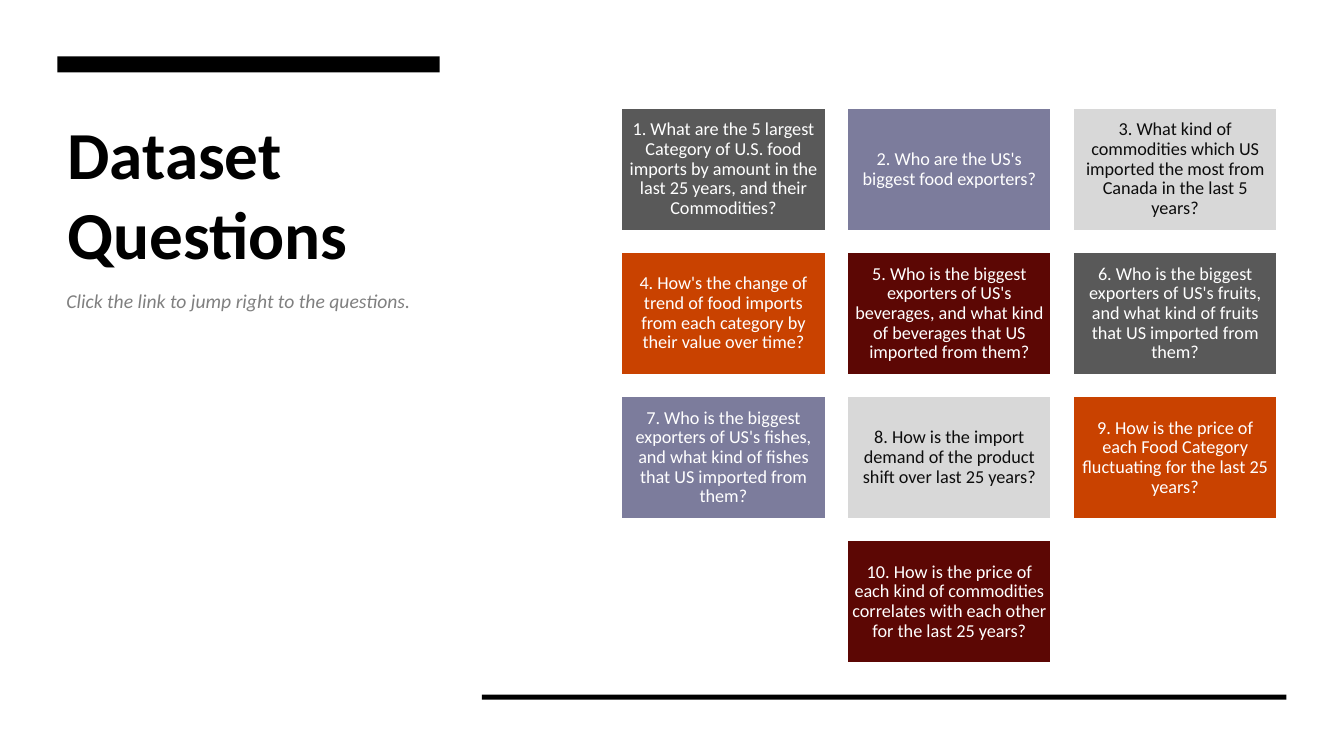
from pptx import Presentation
from pptx.dml.color import RGBColor
from pptx.enum.shapes import MSO_SHAPE as Shape
from pptx.enum.text import MSO_ANCHOR as Anchor, PP_ALIGN as Align
from pptx.util import Inches, Pt

FONT = "Calibri"
BLACK, WHITE, INK, GREY = "000000", "FFFFFF", "0D0D0D", "808080"
LIGHT = "D8D8D8"
FILLS = ["595959", "7C7C9C", LIGHT, "C94200", "5C0704"]

ASKS = [
    "What are the 5 largest Category of U.S. food imports by amount in the last 25 years, and their Commodities?",
    "Who are the US's biggest food exporters?",
    "What kind of commodities which US imported the most from Canada in the last 5 years?",
    "How's the change of trend of food imports from each category by their value over time?",
    "Who is the biggest exporters of US's beverages, and what kind of beverages that US imported from them?",
    "Who is the biggest exporters of US's fruits, and what kind of fruits that US imported from them?",
    "Who is the biggest exporters of US's fishes, and what kind of fishes that US imported from them?",
    "How is the import demand of the product shift over last 25 years?",
    "How is the price of each Food Category fluctuating for the last 25 years?",
    "How is the price of each kind of commodities correlates with each other for the last 25 years?",
]


def color(code):
    return RGBColor.from_string(code)


def place(box):
    return [Inches(side) for side in box]


class Page:
    def __init__(self, deck):
        self.slide = deck.slides.add_slide(deck.slide_layouts[5])
        back = self.slide.background.fill
        back.solid()
        back.fore_color.rgb = color(WHITE)

    def label(self, frame, text, size, ink, align=Align.LEFT, bold=False, slant=False):
        frame.word_wrap = True
        frame.text = text
        line = frame.paragraphs[0]
        line.alignment = align
        font = line.font
        font.name, font.size = FONT, Pt(size)
        font.bold, font.italic = bold, slant
        font.color.rgb = color(ink)
        return line

    def title(self, text, box):
        head = self.slide.shapes.title
        head.left, head.top, head.width, head.height = place(box)
        head.text_frame.vertical_anchor = Anchor.TOP
        self.label(head.text_frame, text, 48, BLACK, bold=True)

    def note(self, text, box):
        frame = self.slide.shapes.add_textbox(*place(box)).text_frame
        self.label(frame, text, 14, GREY, slant=True)

    def bar(self, box, fill):
        shape = self.slide.shapes.add_shape(Shape.RECTANGLE, *place(box))
        shape.shadow.inherit = False
        shape.fill.solid()
        shape.fill.fore_color.rgb = color(fill)
        shape.line.fill.background()
        return shape

    def card(self, text, box, fill):
        shape = self.bar(box, fill)
        shape.line.color.rgb = color(WHITE)
        shape.line.width = Pt(1.5)
        frame = shape.text_frame
        frame.vertical_anchor = Anchor.MIDDLE
        frame.margin_left = frame.margin_right = Inches(0.05)
        frame.margin_top = frame.margin_bottom = Inches(0.05)
        ink = INK if fill == LIGHT else WHITE
        line = self.label(frame, text, 13, ink, Align.CENTER)
        line.line_spacing = 0.9


def main():
    deck = Presentation()
    deck.slide_width, deck.slide_height = Inches(13.33), Inches(7.5)
    page = Page(deck)

    # Heading and rules
    page.title("Dataset Questions", (0.57, 1.06, 3.79, 3.22))
    page.bar((0.57, 0.56, 3.79, 0.16), BLACK)
    page.bar((4.78, 6.89, 7.98, 0.05), BLACK)

    # Question cards, three to a row, with the last one centred
    cols, wide, high, gap = 3, 2.03, 1.22, 0.21
    for i, ask in enumerate(ASKS):
        row, col = divmod(i, cols)
        count = min(cols, len(ASKS) - row * cols)
        col += (cols - count) / 2
        box = (6.16 + col * (wide + gap), 1.07 + row * (high + gap), wide, high)
        page.card(f"{i + 1}. {ask}", box, FILLS[i % len(FILLS)])

    # Hint under the heading
    page.note("Click the link to jump right to the questions.", (0.56, 2.82, 3.79, 0.34))
    deck.save("out.pptx")


if __name__ == "__main__":
    main()
